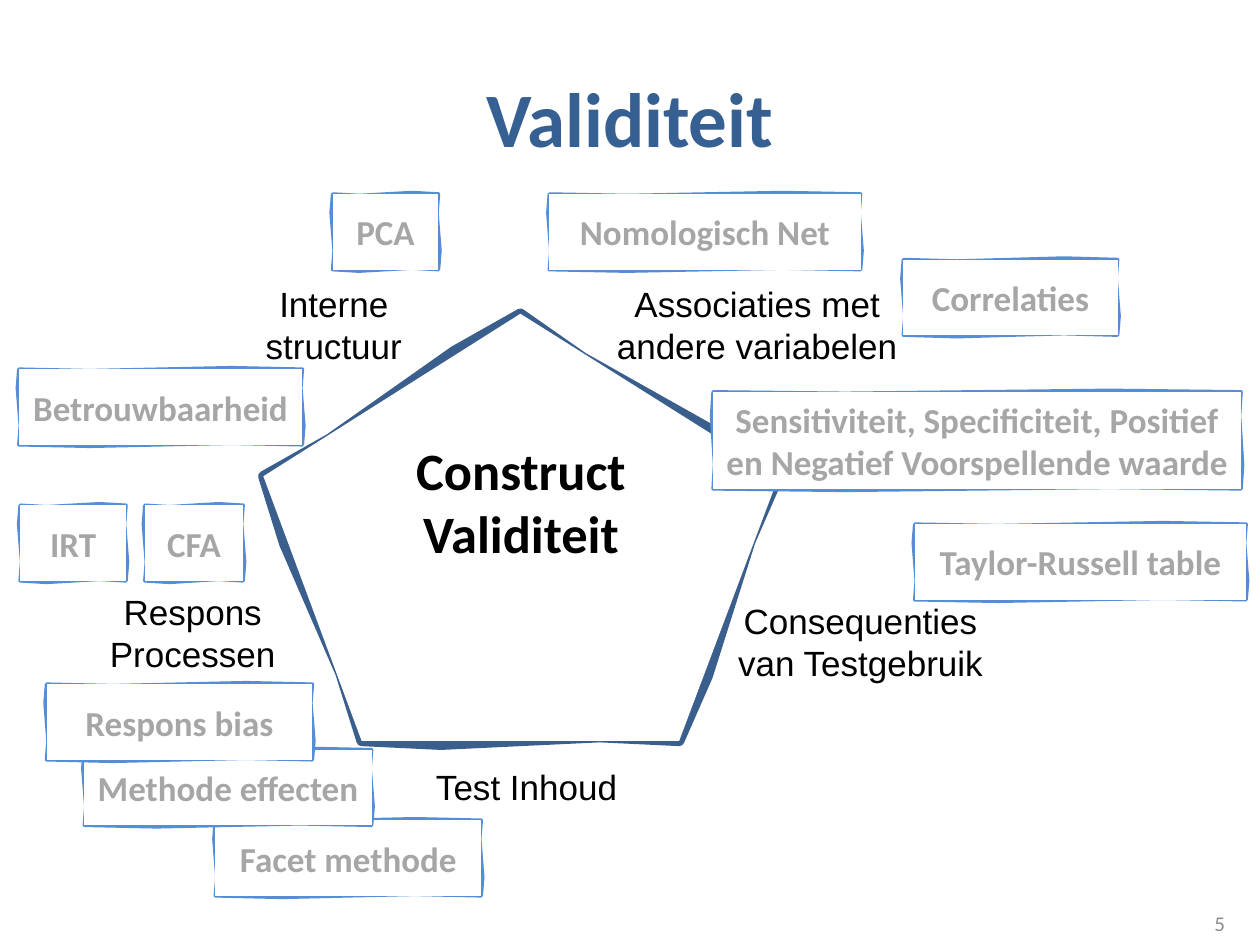
import copy
import dataclasses
import math

import pptx
import pptx.dml.color
import pptx.enum.text
import pptx.oxml.ns
import pptx.util

COLUMNS, ROWS = 100, 75
STEPS = 4
COLORS = {
    "paper": "FFFFFF",
    "title": "376092",
    "construct": "3A5F8C",
    "method_line": "558ED5",
    "method_text": "A6A6A6",
    "text": "000000",
    "number": "8C8C8C",
}
ALIGN = pptx.enum.text.PP_ALIGN
ANCHOR = pptx.enum.text.MSO_ANCHOR


@dataclasses.dataclass(frozen=True)
class Item:
    text: str
    column: float
    row: float
    width: float
    height: float


EVIDENCE = [
    Item("Test Inhoud", 32.6, 60.3, 18.4, 4.4),
    Item("Respons Processen", 5.1, 46.4, 20.4, 7.7),
    Item("Interne structuur", 19.8, 21.9, 13.4, 7.7),
    Item("Consequenties van Testgebruik", 55.5, 47.1, 25.6, 7.7),
    Item("Associaties met andere variabelen", 46.6, 21.9, 27, 7.7),
]
METHODS = [
    Item("PCA", 26.4, 15.4, 8.4, 6),
    Item("Taylor-Russell table", 72.6, 41.6, 26.3, 6),
    Item("Nomologisch Net", 43.6, 15.4, 24.7, 6),
    Item("Facet methode", 17.1, 65.1, 21.1, 6),
    Item("Correlaties", 71.7, 20.6, 17, 6),
    Item("Sensitiviteit, Specificiteit, Positief en Negatief Voorspellende waarde",
         56.6, 31.1, 41.9, 7.7),
    Item("IRT", 1.6, 40.1, 8.4, 6),
    Item("Betrouwbaarheid", 1.5, 29.3, 22.5, 6),
    Item("CFA", 11.5, 40.1, 7.8, 6),
    Item("Methode effecten", 6.7, 59.5, 22.8, 6),
    Item("Respons bias", 3.7, 54.3, 21.1, 6),
]
TITLE = Item("Validiteit", 5, 3, 90, 12.5)
PAGE_NUMBER = Item("5", 21.7, 71.3, 76.5, 4)
PENTAGON = [(20.9, 37.8), (41.3, 24.9), (61.8, 37.8), (53.9, 58.8), (28.7, 58.8)]

deck = pptx.Presentation()
deck.slide_width = pptx.util.Inches(10)
deck.slide_height = pptx.util.Inches(7.5)
slide = deck.slides.add_slide(deck.slide_layouts[6])


def x(columns: float) -> int:
    return round(deck.slide_width * columns / COLUMNS)


def y(rows: float) -> int:
    return round(deck.slide_height * rows / ROWS)


def rgb(color: str) -> pptx.dml.color.RGBColor:
    return pptx.dml.color.RGBColor.from_string(COLORS[color])


def write_text(frame, text: str, *, size: float, color: str = "text", font: str = "Calibri",
               bold: bool = False, align=ALIGN.CENTER, anchor=ANCHOR.MIDDLE) -> None:
    frame.word_wrap = True
    frame.vertical_anchor = anchor
    frame.text = text
    for paragraph in frame.paragraphs:
        paragraph.alignment = align
        paragraph.font.size = pptx.util.Pt(size)
        paragraph.font.name = font
        paragraph.font.bold = bold
        paragraph.font.color.rgb = rgb(color)


def add_label(item: Item, **text_format) -> None:
    box = slide.shapes.add_textbox(x(item.column), y(item.row), x(item.width), y(item.height))
    write_text(box.text_frame, item.text, **text_format)


def wobble(corners: list, sway: float) -> list:
    points = []
    for start, end in zip(corners, corners[1:] + corners[:1]):
        across, down = end[0] - start[0], end[1] - start[1]
        length = math.hypot(across, down)
        for step in range(STEPS):
            share = step / STEPS
            shift = sway * math.sin(2 * math.pi * share)
            points.append((x(start[0] + across * share - down / length * shift),
                           y(start[1] + down * share + across / length * shift)))
    return points


def add_sketch(corners: list, *, sway: float, line_color: str, line_width: float):
    points = wobble(corners, sway)
    builder = slide.shapes.build_freeform(*points[0])
    builder.add_line_segments(points[1:], close=True)
    sketch = builder.convert_to_shape()
    sketch.shadow.inherit = False
    sketch.fill.solid()
    sketch.fill.fore_color.rgb = rgb("paper")
    sketch.line.color.rgb = rgb(line_color)
    sketch.line.width = pptx.util.Pt(line_width)

    stroke = next(sketch.element.iter(pptx.oxml.ns.qn("a:path")))
    interior = copy.deepcopy(stroke)
    for index, segment in enumerate(list(interior)):
        if index % STEPS:
            interior.remove(segment)
    stroke.set("fill", "none")
    interior.set("stroke", "0")
    stroke.addnext(interior)
    return sketch


def add_method(item: Item) -> None:
    right, bottom = item.column + item.width, item.row + item.height
    corners = [(item.column, item.row), (right, item.row),
               (right, bottom), (item.column, bottom)]
    method = add_sketch(corners, sway=0.12, line_color="method_line", line_width=2)
    write_text(method.text_frame, item.text, size=20, color="method_text", bold=True)


def main() -> None:
    construct = add_sketch(PENTAGON, sway=0.3, line_color="construct", line_width=6)
    write_text(construct.text_frame, "Construct\nValiditeit", size=30, bold=True)
    construct.text_frame.margin_bottom = y(5)

    for evidence in EVIDENCE:
        add_label(evidence, size=20, font="Arial", anchor=ANCHOR.TOP)
    add_label(TITLE, size=44, color="title", bold=True)
    for method in METHODS:
        add_method(method)
    add_label(PAGE_NUMBER, size=12, color="number", align=ALIGN.RIGHT)

    deck.save("out.pptx")


if __name__ == "__main__":
    main()
